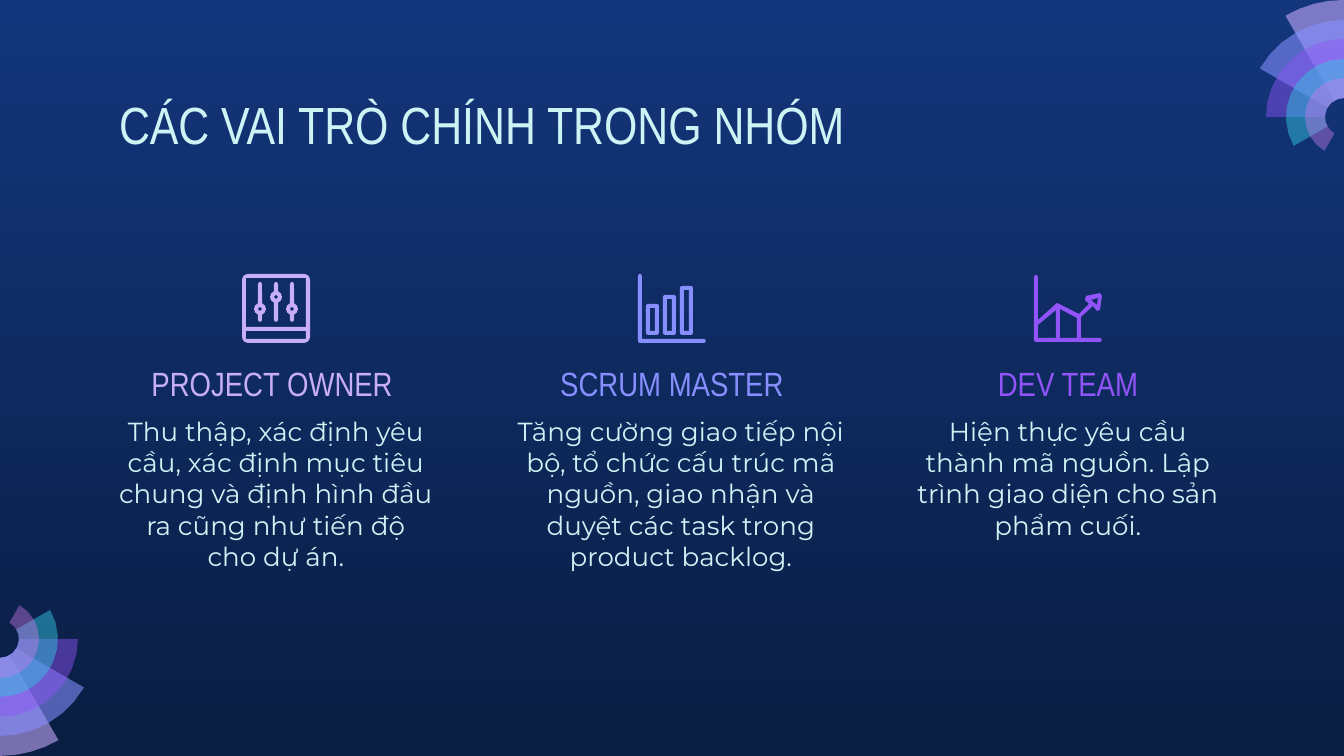
from math import acos, ceil, cos, degrees, radians, sin

from lxml import etree
from pptx import Presentation
from pptx import util as u
from pptx.dml.color import RGBColor
from pptx.enum import text
from pptx.oxml import ns

SCALE = 914400 / 134.4
WIDTH, HEIGHT = 1344, 756
NAVY = RGBColor(0x13, 0x36, 0x7C)
DARK = RGBColor(0x0A, 0x1D, 0x42)
PALE = RGBColor(0xCE, 0xF3, 0xF5)
LILAC = RGBColor(0xC8, 0xAE, 0xF8)
BLUE = RGBColor(0x87, 0x8F, 0xFF)
VIOLET = RGBColor(0x91, 0x54, 0xF8)
MAUVE = RGBColor(0xC8, 0xAC, 0xFD)
CYAN = RGBColor(0x35, 0xC2, 0xDF)
PINK = RGBColor(0xCA, 0x7B, 0xEB)
HEAD, BODY = "Arial Narrow", "Montserrat"

# Outer radius, colour and opacity in percent, from back to front
RINGS = [(117, MAUVE, 58), (97, BLUE, 58), (78, VIOLET, 46),
         (58, CYAN, 49), (39, PINK, 42)]
HUB = 19

# Heading, its colour, body, body width
ROLES = [
    ("PROJECT OWNER ", LILAC,
     "Thu thập, xác định yêu cầu, xác định mục tiêu chung và định hình "
     "đầu ra cũng như tiến độ cho dự án.", 340),
    ("SCRUM MASTER", BLUE,
     "Tăng cường giao tiếp nội bộ, tổ chức cấu trúc mã nguồn, giao nhận "
     "và duyệt các task trong product backlog.", 358),
    ("DEV TEAM", VIOLET,
     "Hiện thực yêu cầu thành mã nguồn. Lập trình giao diện cho sản "
     "phẩm cuối.", 340),
]
LEFT, STEP = 106, 396
SLACK = 0.4  # px that a chord may stray from its arc


def px(n):
    return u.Emu(round(n * SCALE))


def arc(x, y, r, start, end):
    """Points on a circle, with degrees running clockwise from the right."""
    count = ceil(abs(end - start) / degrees(2 * acos(1 - SLACK / r)))
    turns = [radians(start + (end - start) * i / count)
             for i in range(count + 1)]
    return [(x + r * cos(t), y + r * sin(t)) for t in turns]


def box(x, y, w, h, r=0):
    """Points of a rectangle with corners of radius r."""
    right, low = x + w, y + h
    if not r:
        return [(x, y), (right, y), (right, low), (x, low)]
    return (arc(x + r, y + r, r, 180, 270) + arc(right - r, y + r, r, 270, 360)
            + arc(right - r, low - r, r, 0, 90) + arc(x + r, low - r, r, 90, 180))


def draw(group, color, *loops, alpha=None):
    """Fill one outline; loops after the first are holes in it."""
    first, *holes = [[(px(x), px(y)) for x, y in loop] for loop in loops]
    pen = group.shapes.build_freeform(*first[0])
    pen.add_line_segments(first[1:])
    for hole in holes:
        pen.move_to(*hole[0])
        pen.add_line_segments(hole[1:])
    shape = pen.convert_to_shape()
    shape.shadow.inherit = False
    shape.fill.solid()
    shape.fill.fore_color.rgb = color
    shape.line.fill.background()
    if alpha:
        tint = shape.element.spPr.find(ns.qn("a:solidFill"))[0]
        etree.SubElement(tint, ns.qn("a:alpha"), val=str(alpha * 1000))


def fan(slide, x, y, turn):
    group = slide.shapes.add_group_shape()
    for i, (r, color, alpha) in enumerate(RINGS):
        start, end = 240 - 30 * i + turn, 270 + turn
        draw(group, color, arc(x, y, r, start, end) + arc(x, y, HUB, end, start),
             alpha=alpha)


def axes(x, top, right, low):
    """Points of the two ends of an L-shaped axis: the stem and the foot."""
    return (arc(x, top, 2, 180, 360),
            arc(right, low, 2, -90, 90) + arc(x, low, 2, 90, 180))


def mixer(slide, color):
    group = slide.shapes.add_group_shape()
    draw(group, color, box(242, 274, 68, 69, 6), box(246, 278, 60, 49),
         box(246, 331, 60, 8))
    for x, knob in [(260, 309), (276, 297), (292, 309)]:
        edge = (arc(x, 284, 2, 180, 360) + arc(x, knob, 6, -70, 70)
                + arc(x, 320, 2, 0, 180) + arc(x, knob, 6, 110, 250))
        draw(group, color, edge, arc(x, knob, 2, 0, 360))


def bars(slide, color):
    group = slide.shapes.add_group_shape()
    for i in range(3):
        x, y = 646 + 17 * i, 304 - 9 * i
        draw(group, color, box(x, y, 13, 335 - y, 2),
             box(x + 4, y + 4, 5, 327 - y))
    stem, foot = axes(640, 276, 704, 341)
    draw(group, color, stem + [(642, 339)] + foot)


def trend(slide, color):
    stem, foot = axes(1036, 277, 1100, 340)
    line = [(1038, 320), (1057, 303), (1079, 314), (1089, 304), (1085, 300),
            (1086, 296), (1100, 293), (1102, 296), (1100, 310), (1097, 311),
            (1093, 306), (1081, 317), (1081, 338)]
    draw(slide, color, stem + line + foot,
         [(1098, 298), (1097, 305), (1091, 300)],
         [(1056, 310), (1056, 338), (1038, 338), (1038, 325)],
         [(1060, 309), (1077, 318), (1077, 338), (1060, 338)])


def write(shape, words, size, face, color, align, anchor=text.MSO_ANCHOR.TOP):
    frame = shape.text_frame
    frame.text = words
    frame.word_wrap = True
    frame.auto_size = text.MSO_AUTO_SIZE.NONE
    frame.vertical_anchor = anchor
    frame.margin_left = frame.margin_right = px(13)
    frame.margin_top = frame.margin_bottom = px(13)
    para = frame.paragraphs[0]
    para.alignment = align
    para.font.size = u.Pt(size)
    para.font.name = face
    para.font.color.rgb = color


def title(slide, words):
    shape = slide.shapes.title
    shape.left, shape.top = px(LEFT), px(79)
    shape.width, shape.height = px(1133), px(84)
    write(shape, words, 28, HEAD, PALE, text.PP_ALIGN.LEFT)


def label(slide, x, y, w, h, *style):
    shape = slide.shapes.add_textbox(px(x), px(y), px(w), px(h))
    write(shape, *style)


def paint(slide):
    """Give the slide its gradient from top to bottom."""
    fill = slide.background.fill
    fill.gradient()
    fill.gradient_angle = 270
    for stop, color in zip(fill.gradient_stops, (NAVY, DARK)):
        stop.color.rgb = color


def main():
    deck = Presentation()
    deck.slide_width, deck.slide_height = px(WIDTH), px(HEIGHT)
    slide = deck.slides.add_slide(deck.slide_layouts[5])
    paint(slide)
    fan(slide, 0, 639, 180)
    fan(slide, WIDTH, 117, 0)
    title(slide, "CÁC VAI TRÒ CHÍNH TRONG NHÓM")
    mid = text.PP_ALIGN.CENTER
    for i, (name, color, duty, wide) in enumerate(ROLES):
        x = LEFT + STEP * i
        label(slide, x, 358, 340, 58, name, 18, HEAD, color, mid,
              text.MSO_ANCHOR.BOTTOM)
        label(slide, x, 402, wide, 117, duty, 14, BODY, PALE, mid)
    for icon, role in zip((mixer, bars, trend), ROLES):
        icon(slide, role[1])
    deck.save("out.pptx")


if __name__ == "__main__":
    main()
